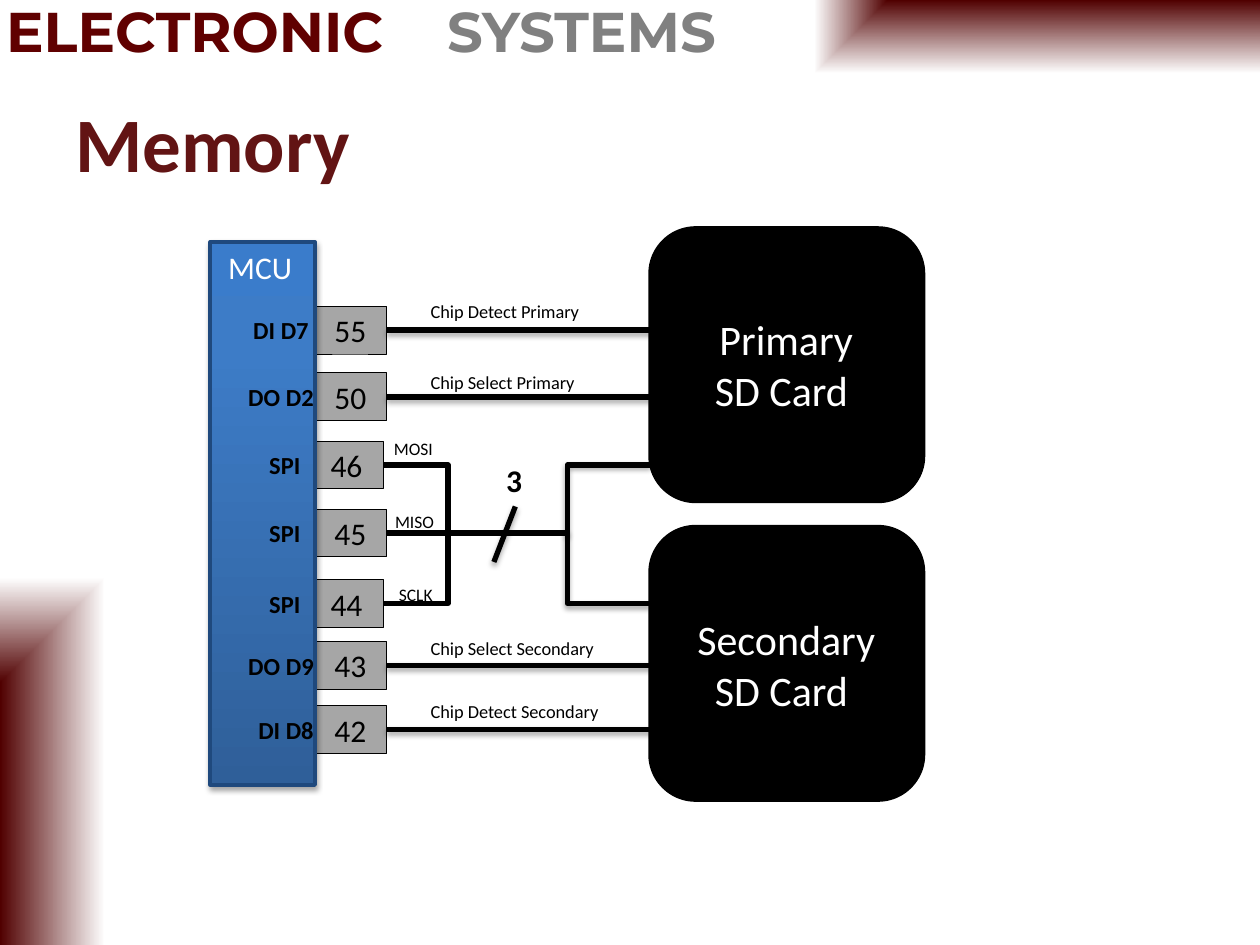
from pptx import Presentation
from pptx.dml.color import RGBColor
from pptx.enum.shapes import MSO_CONNECTOR, MSO_SHAPE
from pptx.enum.text import MSO_ANCHOR, PP_ALIGN
from pptx.oxml import parse_xml
from pptx.oxml.ns import nsdecls, qn
from pptx.util import Inches, Pt

WIDE, HIGH = Inches(10), Inches(7.5)
COLS, ROWS = 100, 75  # square grid cells

THEME = {
    "dark": "500000", "brand": "600000", "grey": "808080", "title": "621414",
    "ink": "000000", "paper": "FFFFFF", "pin": "A6A6A6", "edge": "1F497D",
    "chip": [(0, "2F5F99"), (80, "3D7CC7"), (100, "3A7CCB")],
    "body": "Calibri", "head": "Montserrat",
    "sizes": {"logo": 32, "title": 44, "card": 24, "pin": 18, "port": 14,
              "net": 10.5, "signal": 10},
    "wire": 3,
}
SIZE = THEME["sizes"]

# pin number, port, port centre, pin left, middle row
PINS = [
    ("55", "DI D7", 22.3, 24.9, 26.2),
    ("50", "DO D2", 22.3, 24.9, 31.5),
    ("46", "SPI", 22.6, 24.6, 36.9),
    ("45", "SPI", 22.6, 24.9, 42.3),
    ("44", "SPI", 22.6, 24.6, 47.9),
    ("43", "DO D9", 22.3, 24.9, 52.8),
    ("42", "DI D8", 22.7, 24.9, 57.9),
]
# pin number, wire end, label, label rise
NETS = [
    ("55", 52.4, "Chip Detect Primary", 1.5),
    ("50", 52.4, "Chip Select Primary", 1.2),
    ("43", 54.1, "Chip Select Secondary", 1.4),
    ("42", 52.4, "Chip Detect Secondary", 1.5),
]
# label, centre column, middle row
SIGNALS = [("MOSI", 32.8, 35.6), ("MISO", 32.9, 41.4), ("SCLK", 33, 47.2)]
CARDS = [("Primary", 18.1, 62.4, 28.9), ("Secondary", 41.8, 62.4, 52.7)]


def grid(x, y):
    return round(x * WIDE / COLS), round(y * HIGH / ROWS)


def box(x, y, w, h):
    return grid(x, y) + grid(w, h)


def mid(cx, cy, w, h):
    """Box given by its centre."""
    return box(cx - w / 2, cy - h / 2, w, h)


def style(item, **form):
    for name, value in form.items():
        setattr(item, name, value)


def tint(code):
    return RGBColor.from_string(code)


def shade(shape):
    """Give a soft shadow that falls straight down."""
    props = shape._element.spPr
    for old in props.findall(qn("a:effectLst")):
        props.remove(old)
    props.append(parse_xml(
        f'<a:effectLst {nsdecls("a")}><a:outerShdw blurRad="{Pt(3.1)}" '
        f'dist="{Pt(1.8)}" dir="5400000" rotWithShape="0"><a:srgbClr '
        f'val="{THEME["ink"]}"><a:alpha val="35000"/></a:srgbClr>'
        '</a:outerShdw></a:effectLst>'))


def blend(shape, stops, tail):
    """Fill with a gradient; tail is the XML of its direction."""
    shape.fill.gradient()
    marks = "".join(f'<a:gs pos="{at * 1000}"><a:srgbClr val="{code}"/></a:gs>'
                    for at, code in stops)
    props = shape._element.spPr
    props.replace(props.find(qn("a:gradFill")), parse_xml(
        f'<a:gradFill {nsdecls("a")} rotWithShape="1"><a:gsLst>{marks}'
        f'</a:gsLst>{tail}</a:gradFill>'))


def write(frame, lines, size, color="ink", align=PP_ALIGN.CENTER, bold=False):
    for n, line in enumerate(lines):
        para = frame.paragraphs[0] if n == 0 else frame.add_paragraph()
        para.alignment = align
        run = para.add_run()
        run.text = line
        style(run.font, size=Pt(SIZE[size]), name=THEME["body"], bold=bold)
        run.font.color.rgb = tint(THEME[color])


def text(slide, area, lines, size, **form):
    frame = slide.shapes.add_textbox(*area).text_frame
    style(frame, word_wrap=True, vertical_anchor=MSO_ANCHOR.MIDDLE)
    write(frame, lines, size, **form)
    return frame


def block(slide, area, fill=None, edge=None, width=1, kind=MSO_SHAPE.RECTANGLE):
    shape = slide.shapes.add_shape(kind, *area)
    shape.shadow.inherit = False
    if fill:
        shape.fill.solid()
        shape.fill.fore_color.rgb = tint(THEME[fill])
    if edge:
        shape.line.color.rgb = tint(THEME[edge])
        shape.line.width = Pt(width)
    else:
        shape.line.fill.background()
    return shape


def wire(slide, start, end, bend=None, soft=True):
    """Draw a wire; bend is the share of its width where it turns."""
    kind = MSO_CONNECTOR.STRAIGHT if bend is None else MSO_CONNECTOR.ELBOW
    line = slide.shapes.add_connector(kind, *grid(*start), *grid(*end))
    line.line.color.rgb = tint(THEME["ink"])
    line.line.width = Pt(THEME["wire"])
    if bend is not None:
        geom = line._element.spPr.find(qn("a:prstGeom"))
        geom.get_or_add_avLst().append(parse_xml(
            f'<a:gd {nsdecls("a")} name="adj1" '
            f'fmla="val {round(bend * 100000)}"/>'))
    if soft:
        shade(line)
    else:
        line._element.spPr.append(parse_xml(f'<a:effectLst {nsdecls("a")}/>'))
    return line


def frame(slide):
    """Corner bands, header and title."""
    stops = [(0, THEME["dark"]), (100, THEME["paper"])]
    for area, focus in (((29.2, 0, 70.8, 11.7), 'l="100000" b="100000"'),
                        ((0, 16.7, 16.7, 58.3), 't="100000" r="100000"')):
        blend(block(slide, box(*area)), stops,
              f'<a:path path="rect"><a:fillToRect {focus}/></a:path>')
    head = text(slide, box(-0.5, -0.8, 63.8, 6.4), ["ELECTRONIC"], "logo",
                color="brand", align=PP_ALIGN.LEFT, bold=True)
    para = head.paragraphs[0]
    para._p.get_or_add_pPr().append(parse_xml(
        f'<a:tabLst {nsdecls("a")}><a:tab pos="{Inches(3.5)}" algn="l"/>'
        '</a:tabLst>'))
    run = para.add_run()
    run.text = "\tSYSTEMS"
    style(run.font, size=Pt(SIZE["logo"]), bold=True)
    run.font.color.rgb = tint(THEME["grey"])
    for run in para.runs:
        run.font.name = THEME["head"]
    text(slide, box(5, 5, 90, 12.5), ["Memory"], "title", color="title",
         align=PP_ALIGN.LEFT, bold=True)


def cards(slide):
    for name, top, cx, cy in CARDS:
        block(slide, box(51.6, top, 21.7, 21.7), "ink", "ink", 2,
              MSO_SHAPE.ROUNDED_RECTANGLE)
        text(slide, mid(cx, cy, 16.7, 9.1), [name, "SD Card "], "card",
             color="paper")


def chip(slide):
    """Pins, then the chip over their left ends; returns pins by number."""
    pins = {}
    for num, port, cx, left, row in PINS:
        pin = block(slide, box(left, row - 1.9, 5.8, 3.8), "pin", "ink", 0.5)
        pin.text_frame.vertical_anchor = MSO_ANCHOR.MIDDLE
        write(pin.text_frame, [num], "pin")
        pins[num] = pin
    body = block(slide, box(16.7, 19.2, 8.3, 43.1), edge="edge", width=2.25)
    blend(body, THEME["chip"], '<a:lin ang="16200000" scaled="0"/>')
    shade(body)
    text(slide, box(16.7, 19.2, 7.9, 4), ["MCU"], "pin", color="paper")
    for num, port, cx, left, row in PINS:
        text(slide, mid(cx, row, 9.8, 3.4), [port], "port", bold=True)
    return pins


def nets(slide, pins):
    rows = {pin[0]: pin[4] for pin in PINS}
    for num, end, name, rise in NETS:
        row = rows[num]
        wire(slide, (30.7, row), (end, row)).begin_connect(pins[num], 3)
        text(slide, box(33.2, row - rise - 1.4, 16.4, 2.8), [name], "net",
             align=PP_ALIGN.LEFT)
    bus = rows["45"]
    for num in ("46", "44"):
        wire(slide, (30.4, rows[num]), (38.2, bus), 0.66, soft=False)
        wire(slide, (51.6, rows[num]), (44.9, bus), 0.98)
    trunk = wire(slide, (30.7, bus), (44.9, bus), soft=False)
    trunk.begin_connect(pins["45"], 3)
    wire(slide, (39.2, 44.6), (40.9, 40.2))
    text(slide, mid(40.8, 38.1, 9.3, 4), ["3"], "pin", bold=True)
    for name, cx, cy in SIGNALS:
        text(slide, mid(cx, cy, 6.2, 2.7), [name], "signal")


def main():
    deck = Presentation()
    style(deck, slide_width=WIDE, slide_height=HIGH)
    slide = deck.slides.add_slide(deck.slide_layouts[6])
    frame(slide)
    cards(slide)
    nets(slide, chip(slide))
    deck.save("out.pptx")


if __name__ == "__main__":
    main()
